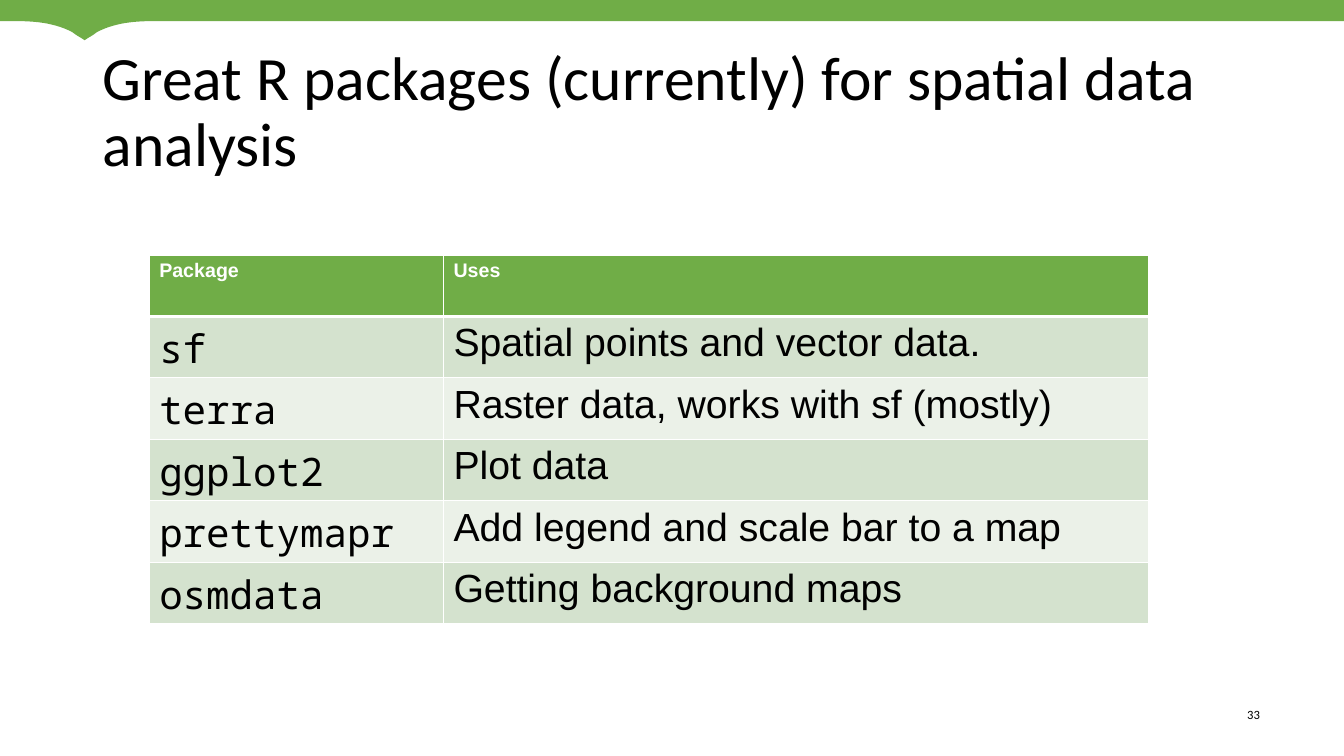
import pptx
import pptx.dml.color
import pptx.enum.text
import pptx.oxml
import pptx.oxml.ns
import pptx.util

GREEN, PALE, PALER, WHITE, BLACK = "70AD47", "D4E2CE", "EBF1E8", "FFFFFF", "000000"


def paint(fill, colour):
    fill.solid()
    fill.fore_color.rgb = pptx.dml.color.RGBColor.from_string(colour)


def write(frame, text, colour, style):
    frame.word_wrap = True
    paragraph = frame.paragraphs[0]
    run = paragraph.add_run()
    run.text = text
    for attribute, value in style.items():
        setattr(run.font, attribute, value)
    paint(run.font.fill, colour)
    return paragraph


deck = pptx.Presentation()
deck.slide_width = pptx.util.Inches(13.33)
deck.slide_height = pptx.util.Inches(7.5)
column, row = deck.slide_width / 100, deck.slide_height / 100
slide = deck.slides.add_slide(deck.slide_layouts[6])

# fmt: off
notch_curves = [
    [(11.25, 2.8), (9.67, 2.8), (8.32, 3.2), (7.2, 4.27)],
    [(7.2, 4.27), (6.83, 4.8), (6.6, 4.93), (6.3, 5.33)],
]
# fmt: on
notch_half = []
for a, b, c, d in notch_curves:
    for step in range(13):
        t = step / 12
        weights = ((1 - t) ** 3, 3 * t * (1 - t) ** 2, 3 * t * t * (1 - t), t ** 3)
        notch_half.append(tuple(sum(w * p[axis] for w, p in zip(weights, (a, b, c, d))) for axis in (0, 1)))
notch_mirror = [(12.6 - x, y) for x, y in reversed(notch_half)]
outline = [(100, 0), (100, 2.8), *notch_half, *notch_mirror, (0, 2.8)]
band_builder = slide.shapes.build_freeform(0, 0)
band_builder.add_line_segments([(x * column, y * row) for x, y in outline], close=True)
band = band_builder.convert_to_shape()
band.shadow.inherit = False
paint(band.fill, GREEN)
band.line.fill.background()

heading = slide.shapes.add_textbox(
    int(6.9 * column), int(5.33 * row), int(86.25 * column), int(19.33 * row)).text_frame
heading.vertical_anchor = pptx.enum.text.MSO_ANCHOR.MIDDLE
heading_line = write(heading, "Great R packages (currently) for spatial data analysis", BLACK,
                     {"name": "Calibri", "size": pptx.util.Pt(44)})
heading_line.line_spacing = 0.9

page_number = slide.shapes.add_textbox(
    int(90.3 * column), int(93.47 * row), int(3.45 * column), int(2 * row)).text_frame
for side in ("left", "top", "right", "bottom"):
    setattr(page_number, "margin_" + side, 0)
number_line = write(page_number, "33", BLACK, {"name": "Calibri", "size": pptx.util.Pt(9)})
number_line.alignment = pptx.enum.text.PP_ALIGN.RIGHT

packages = [
    ("Package", "Uses"),
    ("sf", "Spatial points and vector data."),
    ("terra", "Raster data, works with sf (mostly)"),
    ("ggplot2", "Plot data"),
    ("prettymapr", "Add legend and scale bar to a map"),
    ("osmdata", "Getting background maps"),
]
header_style = {"name": "Arial", "size": pptx.util.Pt(14), "bold": True}
body_styles = [
    {"name": font, "size": pptx.util.Pt(28), "bold": False} for font in ("Noto Sans Mono", "Arial")
]
package_table = slide.shapes.add_table(
    len(packages), 2, int(11.1 * column), int(33.73 * row),
    int(74.33 * column), int(8.13 * row) * len(packages)).table
for table_column, share in zip(package_table.columns, (21.9, 52.43)):
    table_column.width = int(share * column)

for r, entry in enumerate(packages):
    for c, text in enumerate(entry):
        cell = package_table.cell(r, c)
        properties = cell._tc.get_or_add_tcPr()
        heavy_side = {0: "B", 1: "T"}.get(r)
        for side in "LRTB":
            width = pptx.util.Pt(3 if side == heavy_side else 1)
            properties.append(pptx.oxml.parse_xml(
                f'<a:ln{side} {pptx.oxml.ns.nsdecls("a")} w="{width}"><a:solidFill>'
                f'<a:srgbClr val="{WHITE}"/></a:solidFill></a:ln{side}>'))
        paint(cell.fill, GREEN if r == 0 else PALE if r % 2 else PALER)
        write(cell.text_frame, text, WHITE if r == 0 else BLACK,
              header_style if r == 0 else body_styles[c])

deck.save("out.pptx")
